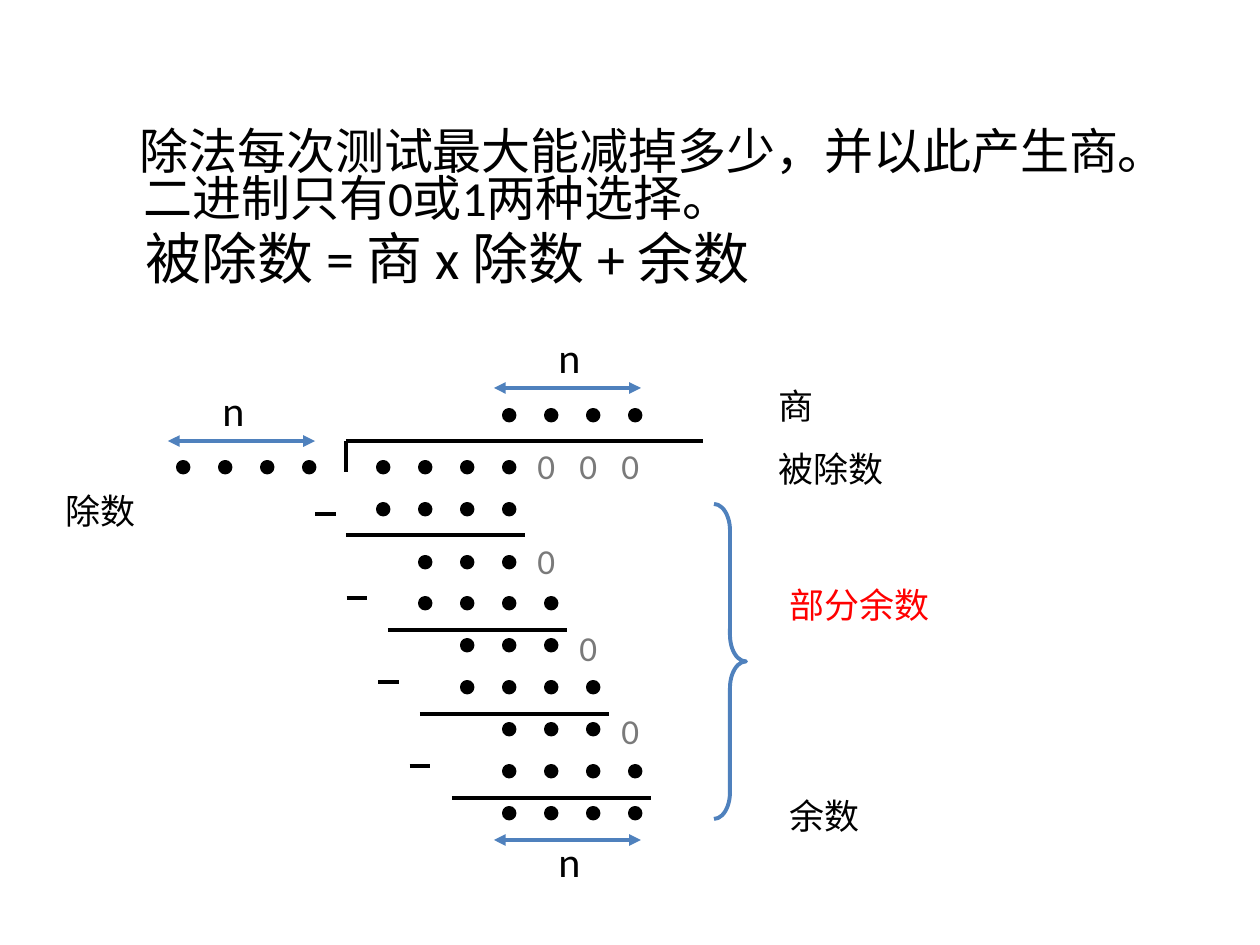
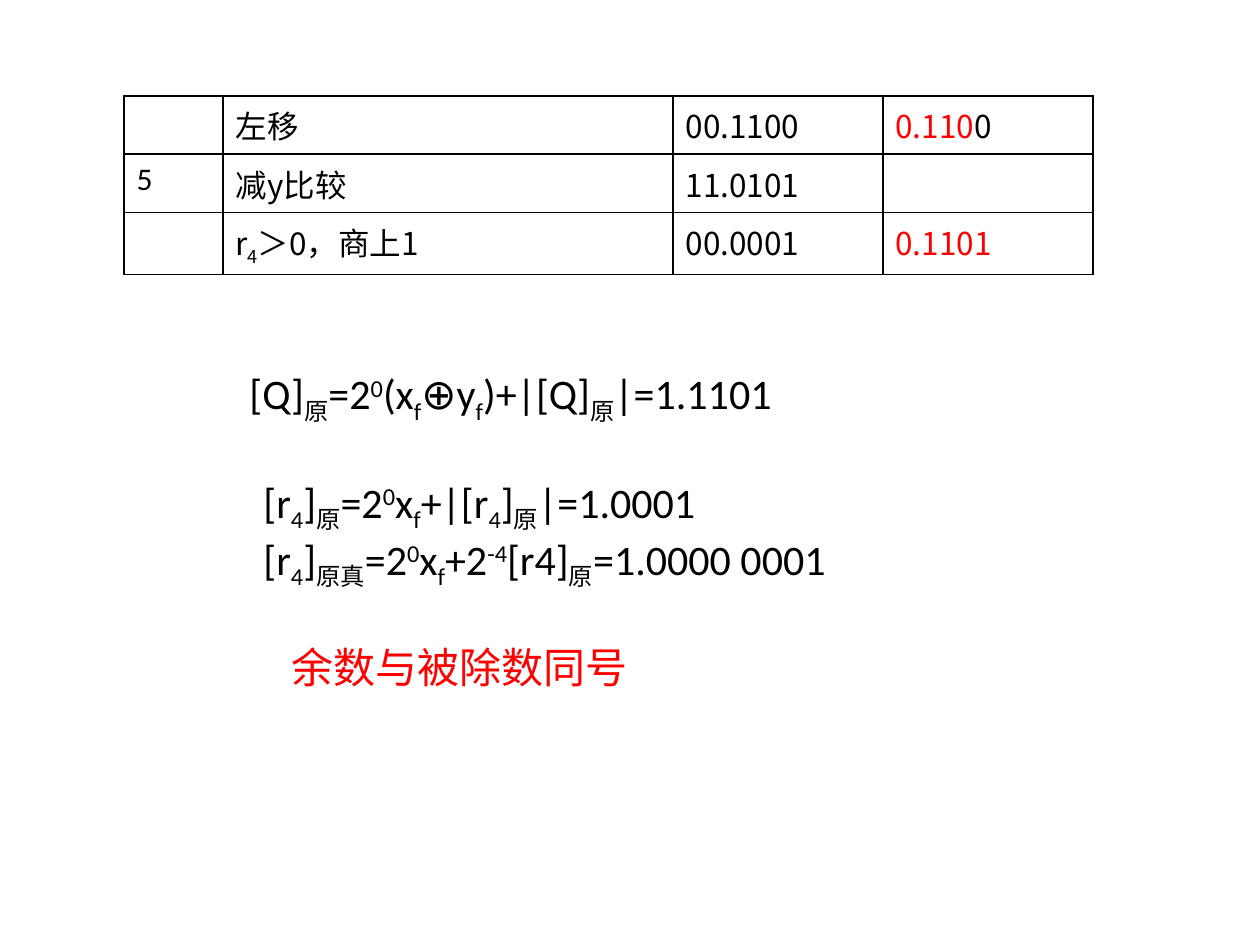
from dataclasses import dataclass

from lxml import etree
from pptx import Presentation
from pptx.dml.color import RGBColor
from pptx.enum.shapes import MSO_CONNECTOR, MSO_SHAPE
from pptx.oxml.ns import qn
from pptx.util import Emu, Pt

STRAIGHT = MSO_CONNECTOR.STRAIGHT
OVAL = MSO_SHAPE.OVAL
RIGHT_BRACE = MSO_SHAPE.RIGHT_BRACE
SCALE = 914400 / 126
BLANK = 6


@dataclass(frozen=True)
class Theme:
    """Colours, fonts and type sizes of the deck."""
    ink: RGBColor = RGBColor(0, 0, 0)
    red: RGBColor = RGBColor(0xFF, 0, 0)
    blue: RGBColor = RGBColor(0x4F, 0x81, 0xBD)
    grey: RGBColor = RGBColor(0x7A, 0x7A, 0x7A)
    latin: str = "Calibri"
    cjk: str = "Noto Sans CJK SC"
    formula: int = 32
    body: int = 28
    large: int = 24
    label: int = 20
    cell: int = 18
    stroke: float = 2.25


def px(n):
    """Turn pixels into EMU."""
    return Emu(round(n * SCALE))


class Deck:
    """Holds the presentation, the theme and the current slide."""

    def __init__(self, theme):
        """Start an empty 10 by 7.5 inch deck."""
        self.t = theme
        self.prs = Presentation()
        self.prs.slide_width, self.prs.slide_height = px(1260), px(945)

    def slide(self):
        """Add a blank slide and make it current."""
        self.s = self.prs.slides.add_slide(self.prs.slide_layouts[BLANK])

    def set_text(self, p, text, size, color=None, font=None):
        """Fill a paragraph; ~_x~ is subscript, ~^x~ superscript, ~!x~ red."""
        p.font.size = Pt(size)
        p.font.name = font or self.t.latin
        p.font.color.rgb = color or self.t.ink
        for i, piece in enumerate(text.split("~")):
            if not piece:
                continue
            r = p.add_run()
            mark = piece[0] if i % 2 else ""
            r.text = piece[len(mark):]
            if mark == "!":
                r.font.color.rgb = self.t.red
            elif mark:
                shift = {"_": "-25000", "^": "30000"}[mark]
                r._r.get_or_add_rPr().set("baseline", shift)

    def box(self, x, y, w, h):
        """Add a wrapping text box and return its frame."""
        tf = self.s.shapes.add_textbox(px(x), px(y), px(w), px(h)).text_frame
        tf.word_wrap = True
        return tf

    def label(self, text, x, y, w=220, h=55, size=None, color=None):
        """Add a one-line text box."""
        p = self.box(x, y, w, h).paragraphs[0]
        self.set_text(p, text, size or self.t.label, color)

    def paragraph(self, tf, text, size, margin, indent=0, before=0,
                  spacing=1.0, color=None):
        """Add an indented paragraph, using the empty first one if free."""
        p = tf.paragraphs[0] if not tf.text else tf.add_paragraph()
        self.set_text(p, text, size, color)
        p.space_before = Pt(before)
        p.line_spacing = spacing
        pPr = p._p.get_or_add_pPr()
        pPr.set("marL", str(px(margin)))
        pPr.set("indent", str(px(indent)))

    def line(self, x1, y1, x2, y2, color=None, arrows=False):
        """Add a straight line, with arrowheads at both ends if asked."""
        c = self.s.shapes.add_connector(STRAIGHT, px(x1), px(y1), px(x2), px(y2))
        c.line.color.rgb = color or self.t.ink
        c.line.width = Pt(self.t.stroke)
        spPr = c._element.spPr
        if arrows:
            ln = spPr.find(qn("a:ln"))
            for end in ("a:headEnd", "a:tailEnd"):
                etree.SubElement(ln, qn(end), type="triangle")
        etree.SubElement(spPr, qn("a:effectLst"))

    def measure(self, x, y, width):
        """Add a double arrow."""
        self.line(x, y, x + width, y, self.t.blue, arrows=True)

    def shape(self, kind, x, y, w, h, color, filled=True):
        """Add a preset shape whose fill, if any, matches its line."""
        sp = self.s.shapes.add_shape(kind, px(x), px(y), px(w), px(h))
        sp.shadow.inherit = False
        if filled:
            sp.fill.solid()
            sp.fill.fore_color.rgb = color
        else:
            sp.fill.background()
        sp.line.color.rgb = color
        sp.line.width = Pt(self.t.stroke)
        return sp

    def dots(self, x, y, count, pitch=42):
        """Add a row of digit dots."""
        for i in range(count):
            self.shape(OVAL, x + i * pitch, y, 10.5, 10.5, self.t.ink)

    def border(self, cell):
        """Draw a thin line on all four sides of a cell."""
        tcPr = cell._tc.get_or_add_tcPr()
        for i, side in enumerate(("lnL", "lnR", "lnT", "lnB")):
            ln = etree.Element(qn("a:" + side), w=str(Pt(1)))
            fill = etree.SubElement(ln, qn("a:solidFill"))
            etree.SubElement(fill, qn("a:srgbClr"), val=str(self.t.ink))
            tcPr.insert(i, ln)

    def table(self, x, y, widths, row_height, rows):
        """Add a plain ruled table; a cell is its text and font."""
        tbl = self.s.shapes.add_table(len(rows), len(widths), px(x), px(y),
                                      px(sum(widths)),
                                      px(row_height * len(rows))).table
        tbl.first_row = tbl.horz_banding = False
        for col, width in zip(tbl.columns, widths):
            col.width = px(width)
        for i, row in enumerate(rows):
            tbl.rows[i].height = px(row_height)
            for j, (text, font) in enumerate(row):
                cell = tbl.cell(i, j)
                cell.fill.background()
                self.border(cell)
                self.set_text(cell.text_frame.paragraphs[0], text,
                              self.t.cell, font=font)


def long_division(d):
    """Slide 1: the dot diagram of binary long division."""
    t = d.t
    d.slide()
    tf = d.box(83, 126, 1142, 252)
    d.paragraph(tf, "除法每次测试最大能减掉多少，并以此产生商。二进制只有0或1两种选择。",
                t.body, 48, -4, before=6, spacing=0.8)
    d.paragraph(tf, "被除数 = 商 x 除数 + 余数", t.formula, 50, before=6, spacing=0.8)

    for x, y, count in ((504, 410, 4), (178, 462, 4), (378, 462, 4),
                        (378, 504, 4), (420, 557, 3), (420, 598, 4),
                        (462, 640, 3), (462, 682, 4), (504, 724, 3),
                        (504, 766, 4), (504, 808, 4)):
        d.dots(x, y, count)
    for x1, y, x2 in ((346, 441, 703), (346, 535, 525), (388, 630, 567),
                      (420, 714, 609), (452, 798, 651)):
        d.line(x1, y, x2, y)
    d.line(346, 441, 346, 472)
    for i in range(4):
        x, y = 315 + 31.5 * i, 514 + 84 * i
        d.line(x, y, x + 21, y)
    for x, y in ((525, 438), (567, 438), (609, 438),
                 (525, 533), (567, 620), (609, 703)):
        d.label("0", x, y, 42, 54, color=t.grey)

    for x, y in ((168, 441), (494, 388), (494, 840)):
        d.measure(x, y, 147)
    for x, y in ((210, 378), (546, 325), (546, 829)):
        d.label("n", x, y, 73, 63, t.large)
    brace = d.shape(RIGHT_BRACE, 714, 504, 32, 315, t.blue, filled=False)
    brace.adjustments[0] = 0.83

    for text, x, y in (("商", 766, 378), ("被除数", 766, 441),
                       ("除数", 53, 483), ("余数", 777, 788)):
        d.label(text, x, y)
    d.label("部分余数", 777, 577, color=t.red)


def result(d):
    """Slide 2: the last division steps and the resulting formulas."""
    t = d.t
    d.slide()
    empty = ("", t.latin)
    d.table(124, 96, (99, 450, 210, 210), 51, (
        (empty, ("左移", t.latin), ("00.1100", t.cjk), ("~!0.110~0", t.cjk)),
        (("5", t.latin), ("减y比较", t.cjk), ("11.0101", t.cjk), empty),
        (empty, ("r~_4~＞0，商上1", t.cjk), ("00.0001", t.cjk), ("~!0.1101~", t.cjk)),
    ))
    tf = d.box(194, 324, 863, 357)
    tf.margin_top = px(44)
    for text, margin, before, color in (
            ("[Q]~_原~=2~^0~(x~_f~⊕y~_f~)+|[Q]~_原~|=1.1101", 43, 0, t.ink),
            ("[r~_4~]~_原~=2~^0~x~_f~+|[r~_4~]~_原~|=1.0001", 57, 29, t.ink),
            ("[r~_4~]~_原真~=2~^0~x~_f~+2~^-4~[r4]~_原~=1.0000 0001", 57, 0, t.ink),
            ("余数与被除数同号", 85, 29, t.red)):
        d.paragraph(tf, text, t.large, margin, before=before, color=color)


deck = Deck(Theme())
long_division(deck)
result(deck)
deck.prs.save("out.pptx")
